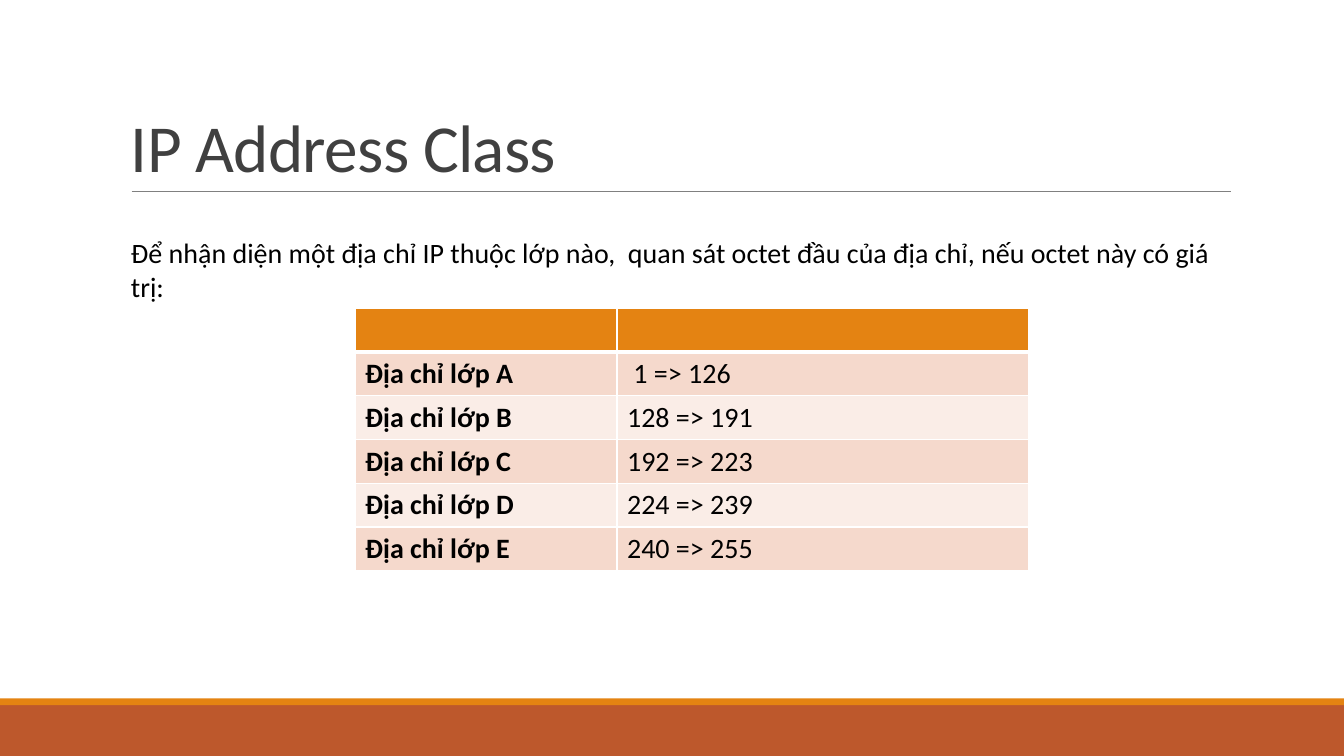
from lxml import etree
from pptx import Presentation
from pptx import util as u
from pptx.dml.color import RGBColor
from pptx.enum import shapes, text
from pptx.oxml.ns import qn

FONT = "Calibri"
RUST = RGBColor(0xBD, 0x58, 0x2C)
ORANGE = RGBColor(0xE4, 0x83, 0x12)
RULE_GRAY = RGBColor(0x80, 0x80, 0x80)
TITLE_GRAY = RGBColor(0x40, 0x40, 0x40)
BLACK = RGBColor(0, 0, 0)
BAND_DARK = RGBColor(0xF5, 0xD9, 0xCC)
BAND_LIGHT = RGBColor(0xFA, 0xED, 0xE7)
BORDER_COLOR = "FFFFFF"

ADDRESS_CLASSES = [
    ("Địa chỉ lớp A", " 1 => 126"),
    ("Địa chỉ lớp B", "128 => 191"),
    ("Địa chỉ lớp C", "192 => 223"),
    ("Địa chỉ lớp D", "224 => 239"),
    ("Địa chỉ lớp E", "240 => 255"),
]


def add_run(paragraph, words, size, color, bold=False):
    run = paragraph.add_run()
    run.text = words
    run.font.name = FONT
    run.font.size = u.Pt(size)
    run.font.bold = bold
    run.font.color.rgb = color
    return run


def add_text_box(slide, left, top, width, height, anchor):
    frame = slide.shapes.add_textbox(left, top, width, height).text_frame
    frame.word_wrap = True
    frame.vertical_anchor = anchor
    return frame


def add_footer(slide, left, top, width, height):
    """Draw a thin orange strip above a rust band."""
    strip = u.Cm(0.17)
    for y, depth, color in ((top + strip, height - strip, RUST), (top, strip, ORANGE)):
        band = slide.shapes.add_shape(shapes.MSO_SHAPE.RECTANGLE, left, y, width, depth)
        band.shadow.inherit = False
        band.fill.solid()
        band.fill.fore_color.rgb = color
        band.line.fill.background()


def add_title(slide, left, top, width, height):
    """Place the heading at the foot of its box, with a rule beneath it."""
    bottom = top + height
    rule = slide.shapes.add_connector(
        shapes.MSO_CONNECTOR.STRAIGHT,
        left + u.Cm(0.27), bottom, left + width + u.Cm(0.03), bottom)
    rule.line.color.rgb = RULE_GRAY
    rule.line.width = u.Pt(0.5)
    etree.SubElement(rule._element.spPr, qn("a:effectLst"))

    frame = add_text_box(slide, left, top, width, height, text.MSO_ANCHOR.BOTTOM)
    heading = frame.paragraphs[0]
    heading.line_spacing = 0.85
    run = add_run(heading, "IP Address Class", 48, TITLE_GRAY)
    run.font._element.set("spc", "-50")


def add_intro(slide, left, top, width, height):
    frame = add_text_box(slide, left, top, width, height, text.MSO_ANCHOR.TOP)
    add_run(frame.paragraphs[0],
            "Để nhận diện một địa chỉ IP thuộc lớp nào,  quan sát octet đầu của "
            "địa chỉ, nếu octet này có giá trị:", 20, BLACK)


def style_cell(cell, color, bottom_width=1, top_width=1):
    """Set the cell's white borders (widths in points) and its fill."""
    properties = cell._tc.get_or_add_tcPr()
    widths = {"a:lnL": 1, "a:lnR": 1, "a:lnT": top_width, "a:lnB": bottom_width}
    for tag, width in widths.items():
        border = etree.SubElement(properties, qn(tag), w=str(u.Pt(width)))
        fill = etree.SubElement(border, qn("a:solidFill"))
        etree.SubElement(fill, qn("a:srgbClr"), val=BORDER_COLOR)
    cell.fill.solid()
    cell.fill.fore_color.rgb = color


def add_class_table(slide, left, top, width, height):
    row_count = len(ADDRESS_CLASSES) + 1
    table = slide.shapes.add_table(row_count, 2, left, top, width, height).table
    name_width = u.Cm(6.6)
    table.columns[0].width = name_width
    table.columns[1].width = width - name_width

    for cell in table.rows[0].cells:
        style_cell(cell, ORANGE, bottom_width=3)
    for number, entry in enumerate(ADDRESS_CLASSES, start=1):
        for column, words in enumerate(entry):
            cell = table.cell(number, column)
            style_cell(cell, BAND_DARK if number % 2 else BAND_LIGHT,
                       top_width=3 if number == 1 else 1)
            add_run(cell.text_frame.paragraphs[0], words, 20, BLACK, bold=column == 0)


def main():
    deck = Presentation()
    deck.slide_width, deck.slide_height = u.Cm(33.87), u.Cm(19.05)
    slide = deck.slides.add_slide(deck.slide_layouts[6])

    margin, content_width = u.Cm(3.05), u.Cm(27.94)
    footer_height = u.Cm(1.45)
    add_footer(slide, 0, deck.slide_height - footer_height, deck.slide_width, footer_height)
    add_title(slide, margin, u.Cm(0.79), content_width, u.Cm(4.03))
    add_class_table(slide, u.Cm(8.95), u.Cm(7.77), u.Cm(16.96), u.Cm(6.6))
    add_intro(slide, margin, u.Cm(5.82), content_width, u.Cm(1.96))
    deck.save("out.pptx")


if __name__ == "__main__":
    main()
